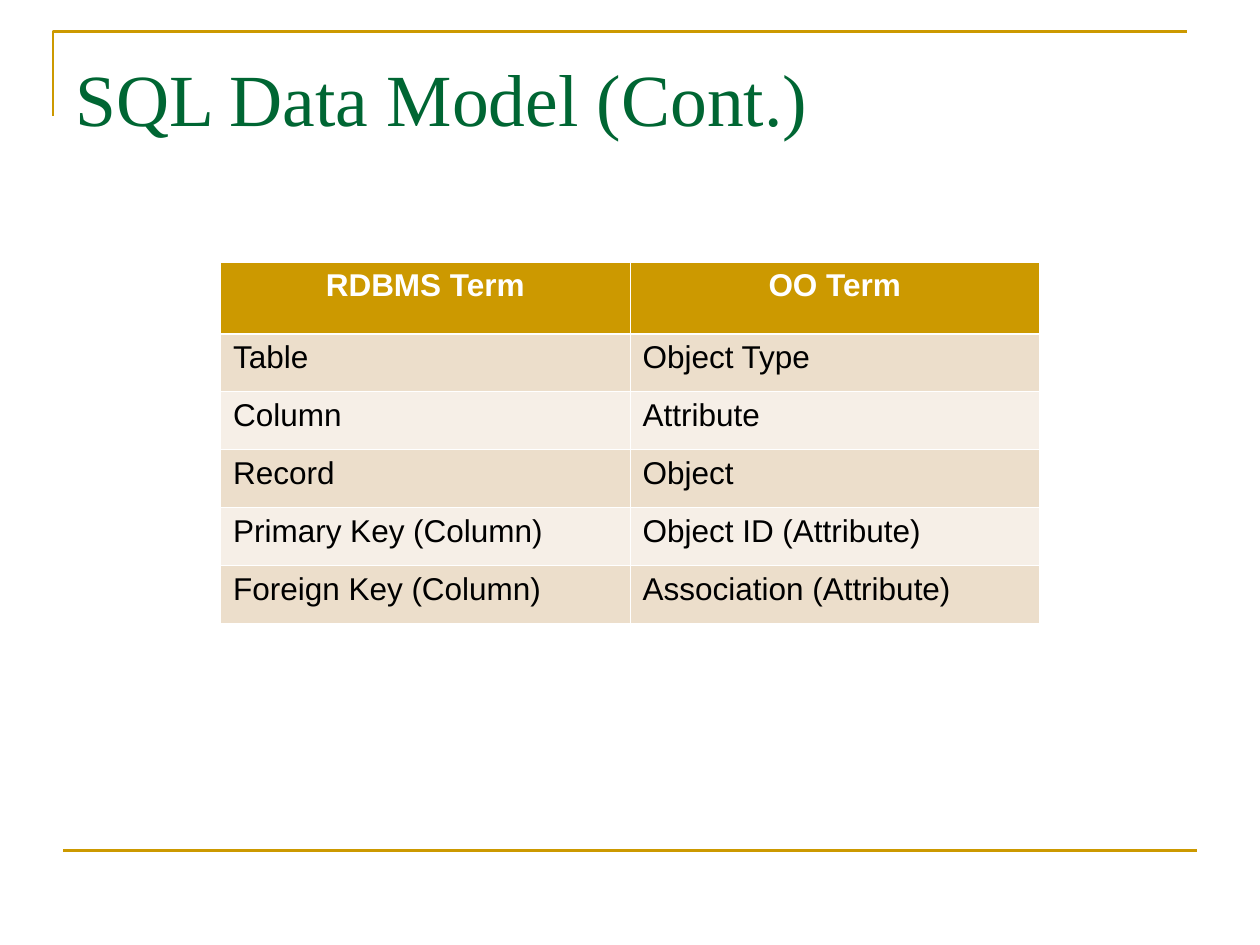
from pptx import Presentation
from pptx.dml.color import RGBColor
from pptx.enum.shapes import MSO_CONNECTOR
from pptx.enum.text import MSO_ANCHOR, PP_ALIGN
from pptx.oxml.ns import qn
from pptx.util import Inches, Pt
from lxml.etree import SubElement

COLORS = {
    "gold": "CC9900",
    "green": "006633",
    "white": "FFFFFF",
    "black": "000000",
    "tan": "ECDECB",
    "cream": "F6EFE7",
}
TERMS = [
    ("RDBMS Term", "OO Term"),
    ("Table", "Object Type"),
    ("Column", "Attribute"),
    ("Record", "Object"),
    ("Primary Key (Column)", "Object ID (Attribute)"),
    ("Foreign Key (Column)", "Association (Attribute)"),
]


def color(name):
    return RGBColor.from_string(COLORS[name])


def add_run(para, text, font, size, tone, bold=False):
    run = para.add_run()
    run.text = text
    run.font.name = font
    run.font.size = Pt(size)
    run.font.bold = bold
    run.font.color.rgb = color(tone)


def set_line(shape):
    shape.line.color.rgb = color("gold")
    shape.line.width = Pt(1.5)


def add_corner(slide):
    pen = slide.shapes.build_freeform(Inches(0.42), Inches(0.92))
    pen.add_line_segments(
        [(Inches(0.42), Inches(0.25)), (Inches(9.42), Inches(0.25))], close=False
    )
    shape = pen.convert_to_shape()
    shape.shadow.inherit = False
    shape.fill.background()
    set_line(shape)


def add_rule(slide):
    rule = slide.shapes.add_connector(
        MSO_CONNECTOR.STRAIGHT, Inches(0.5), Inches(6.75), Inches(9.5), Inches(6.75)
    )
    set_line(rule)
    SubElement(rule._element.spPr, qn("a:effectLst"))


def add_title(slide, text):
    box = slide.shapes.add_textbox(Inches(0.5), Inches(0.3), Inches(9), Inches(1.03))
    frame = box.text_frame
    frame.word_wrap = True
    frame.vertical_anchor = MSO_ANCHOR.TOP
    frame.margin_top = Inches(0.12)
    add_run(frame.paragraphs[0], text, "Times New Roman", 42, "green")


def add_edge(cell, side, width):
    line = SubElement(cell._tc.get_or_add_tcPr(), qn("a:ln" + side), w=str(Pt(width)))
    fill = SubElement(line, qn("a:solidFill"))
    SubElement(fill, qn("a:srgbClr"), val=COLORS["white"])


def fill_cell(cell, text, row):
    head = row == 0
    edges = {"L": 0.45, "R": 0.45, "T": 1.47 if row == 1 else 0.45, "B": 1.47 if head else 0.45}
    for side, width in edges.items():
        add_edge(cell, side, width)
    cell.fill.solid()
    cell.fill.fore_color.rgb = color("gold" if head else "tan" if row % 2 else "cream")
    para = cell.text_frame.paragraphs[0]
    para.alignment = PP_ALIGN.CENTER if head else PP_ALIGN.LEFT
    add_run(para, text, "Arial", 18, "white" if head else "black", head)


def add_terms(slide):
    frame = slide.shapes.add_table(
        len(TERMS), 2, Inches(1.75), Inches(2.08), Inches(6.5), Inches(2.87)
    )
    table = frame.table
    for row, texts in enumerate(TERMS):
        table.rows[row].height = Inches(0.46 if row else 0.57)
        for col, text in enumerate(texts):
            fill_cell(table.cell(row, col), text, row)


def main():
    deck = Presentation()
    deck.slide_width, deck.slide_height = Inches(10), Inches(7.5)
    slide = deck.slides.add_slide(deck.slide_layouts[6])
    add_corner(slide)
    add_rule(slide)
    add_title(slide, "SQL Data Model (Cont.)")
    add_terms(slide)
    deck.save("out.pptx")


if __name__ == "__main__":
    main()
